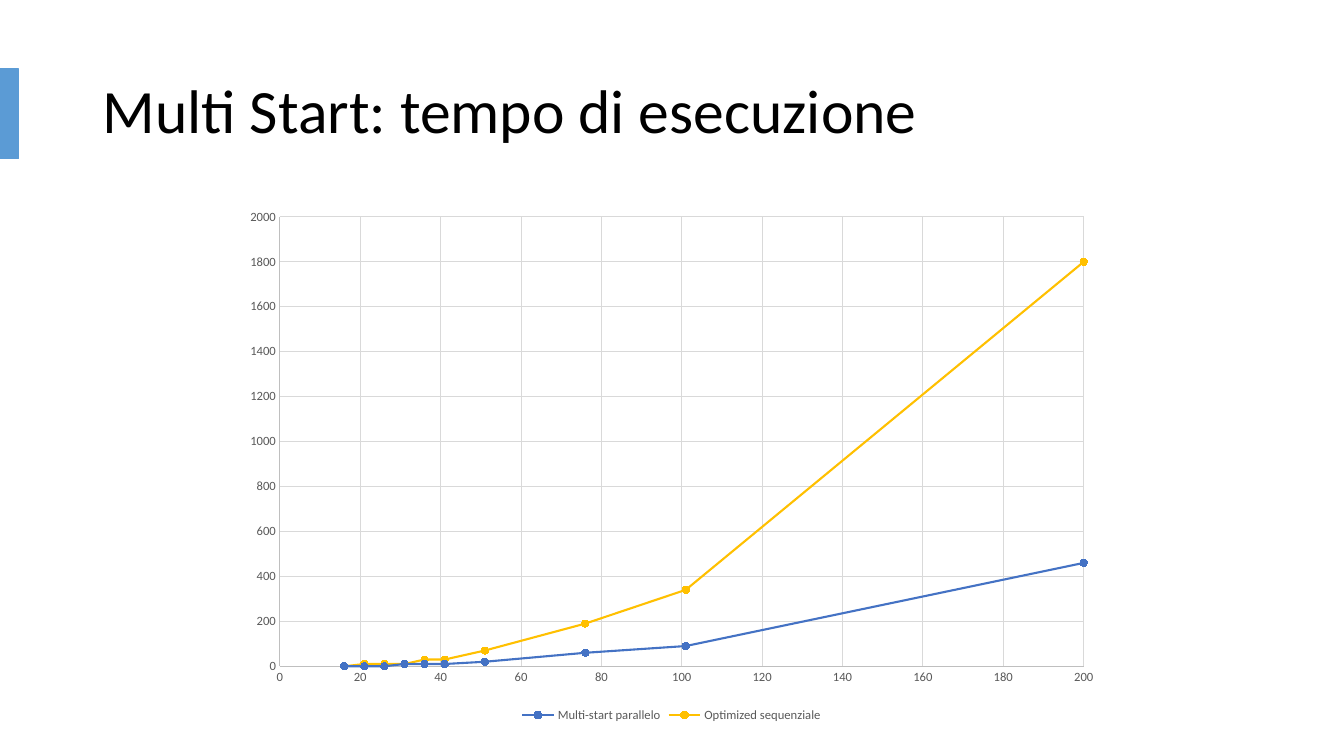
from dataclasses import dataclass

import pptx
import pptx.chart.data
import pptx.dml.color
import pptx.enum.chart
import pptx.enum.shapes
import pptx.enum.text
import pptx.oxml
import pptx.oxml.ns
import pptx.util

Pt = pptx.util.Pt


@dataclass(frozen=True)
class Theme:
    font: str = "Calibri"
    title_size: int = 44
    chart_size: int = 10
    label_size: int = 9
    text: str = "000000"
    label: str = "595959"
    accent: str = "5B9BD5"
    axis: str = "BFBFBF"
    grid: str = "D9D9D9"
    parallel: str = "4472C4"
    sequential: str = "FFC000"


def rgb(color):
    return pptx.dml.color.RGBColor.from_string(color)


def style_font(font, name, size, color):
    font.name, font.size = name, Pt(size)
    font.color.rgb = rgb(color)


def style_line(line, color, width):
    line.color.rgb = rgb(color)
    line.width = Pt(width)


def add_text(tf, text, *, font, size, color, spacing=1.0):
    p = tf.paragraphs[0]
    p.line_spacing = spacing
    r = p.add_run()
    r.text = text
    style_font(r.font, font, size, color)


def place_plot(chart, x, y, w, h):
    """Fix the inner plot area, in shares of the chart's size."""
    plot_area = chart.element.find(".//" + pptx.oxml.ns.qn("c:plotArea"))
    for old in plot_area.findall(pptx.oxml.ns.qn("c:layout")):
        plot_area.remove(old)
    sizes = "".join(f'<c:{k} val="{v}"/>' for k, v in zip("xywh", (x, y, w, h)))
    plot_area.insert(0, pptx.oxml.parse_xml(
        f'<c:layout {pptx.oxml.ns.nsdecls("c")}><c:manualLayout>'
        '<c:layoutTarget val="inner"/><c:xMode val="edge"/><c:yMode val="edge"/>'
        f'{sizes}</c:manualLayout></c:layout>'))


class Deck:
    """Places elements by shares of the slide's width and height."""

    def __init__(self, theme):
        self.theme = theme
        self.prs = pptx.Presentation()
        self.prs.slide_width = pptx.util.Inches(13.33)
        self.prs.slide_height = pptx.util.Inches(7.5)
        self.slide = self.prs.slides.add_slide(self.prs.slide_layouts[6])

    def box(self, x, y, w, h):
        width, height = self.prs.slide_width, self.prs.slide_height
        return [int(v) for v in (x * width, y * height, w * width, h * height)]

    def title(self, text, *area):
        t = self.theme
        tf = self.slide.shapes.add_textbox(*self.box(*area)).text_frame
        tf.word_wrap = True
        tf.vertical_anchor = pptx.enum.text.MSO_ANCHOR.MIDDLE
        add_text(tf, text, font=t.font, size=t.title_size, color=t.text, spacing=0.9)

    def bar(self, *area):
        sp = self.slide.shapes.add_shape(
            pptx.enum.shapes.MSO_SHAPE.RECTANGLE, *self.box(*area))
        sp.shadow.inherit = False
        sp.fill.solid()
        sp.fill.fore_color.rgb = rgb(self.theme.accent)
        style_line(sp.line, self.theme.accent, 1)

    def style_axis(self, axis, maximum, step):
        t = self.theme
        axis.minimum_scale, axis.maximum_scale, axis.major_unit = 0, maximum, step
        axis.major_tick_mark = pptx.enum.chart.XL_TICK_MARK.NONE
        axis.minor_tick_mark = pptx.enum.chart.XL_TICK_MARK.NONE
        axis.has_major_gridlines = True
        style_line(axis.major_gridlines.format.line, t.grid, 0.75)
        style_line(axis.format.line, t.axis, 0.75)
        style_font(axis.tick_labels.font, t.font, t.label_size, t.label)

    def scatter(self, xs, series, *area):
        """Draw lines with markers; series holds (name, color, values)."""
        t = self.theme
        data = pptx.chart.data.XyChartData(number_format="General")
        for name, _, values in series:
            points = data.add_series(name)
            for x, y in zip(xs, values):
                points.add_data_point(x, y)
        chart = self.slide.shapes.add_chart(
            pptx.enum.chart.XL_CHART_TYPE.XY_SCATTER_LINES,
            *self.box(*area), data).chart
        chart.has_title = False
        style_font(chart.font, t.font, t.chart_size, t.text)
        chart.plots[0].vary_by_categories = False
        place_plot(chart, 0.054, 0.033, 0.916, 0.853)
        self.style_axis(chart.category_axis, 200, 20)
        self.style_axis(chart.value_axis, 2000, 200)

        chart.has_legend = True
        chart.legend.position = pptx.enum.chart.XL_LEGEND_POSITION.BOTTOM
        chart.legend.include_in_layout = False
        style_font(chart.legend.font, t.font, t.label_size, t.label)

        for s, (_, color, _) in zip(chart.plots[0].series, series):
            s.smooth = False
            style_line(s.format.line, color, 1.5)
            s.marker.style = pptx.enum.chart.XL_MARKER_STYLE.CIRCLE
            s.marker.size = 5
            s.marker.format.fill.solid()
            s.marker.format.fill.fore_color.rgb = rgb(color)
            style_line(s.marker.format.line, color, 0.75)


def main():
    theme = Theme()
    deck = Deck(theme)
    deck.title("Multi Start: tempo di esecuzione", 0.069, 0.053, 0.863, 0.193)
    deck.bar(0, 0.091, 0.014, 0.119)
    sizes = [16, 21, 26, 31, 36, 41, 51, 76, 101, 200]
    times = [
        ("Multi-start parallelo", theme.parallel,
         [0, 0, 0, 10, 10, 10, 20, 60, 90, 460]),
        ("Optimized sequenziale", theme.sequential,
         [0, 10, 10, 10, 30, 30, 70, 190, 340, 1800]),
    ]
    deck.scatter(sizes, times, 0.173, 0.264, 0.653, 0.697)
    deck.prs.save("out.pptx")


if __name__ == "__main__":
    main()
